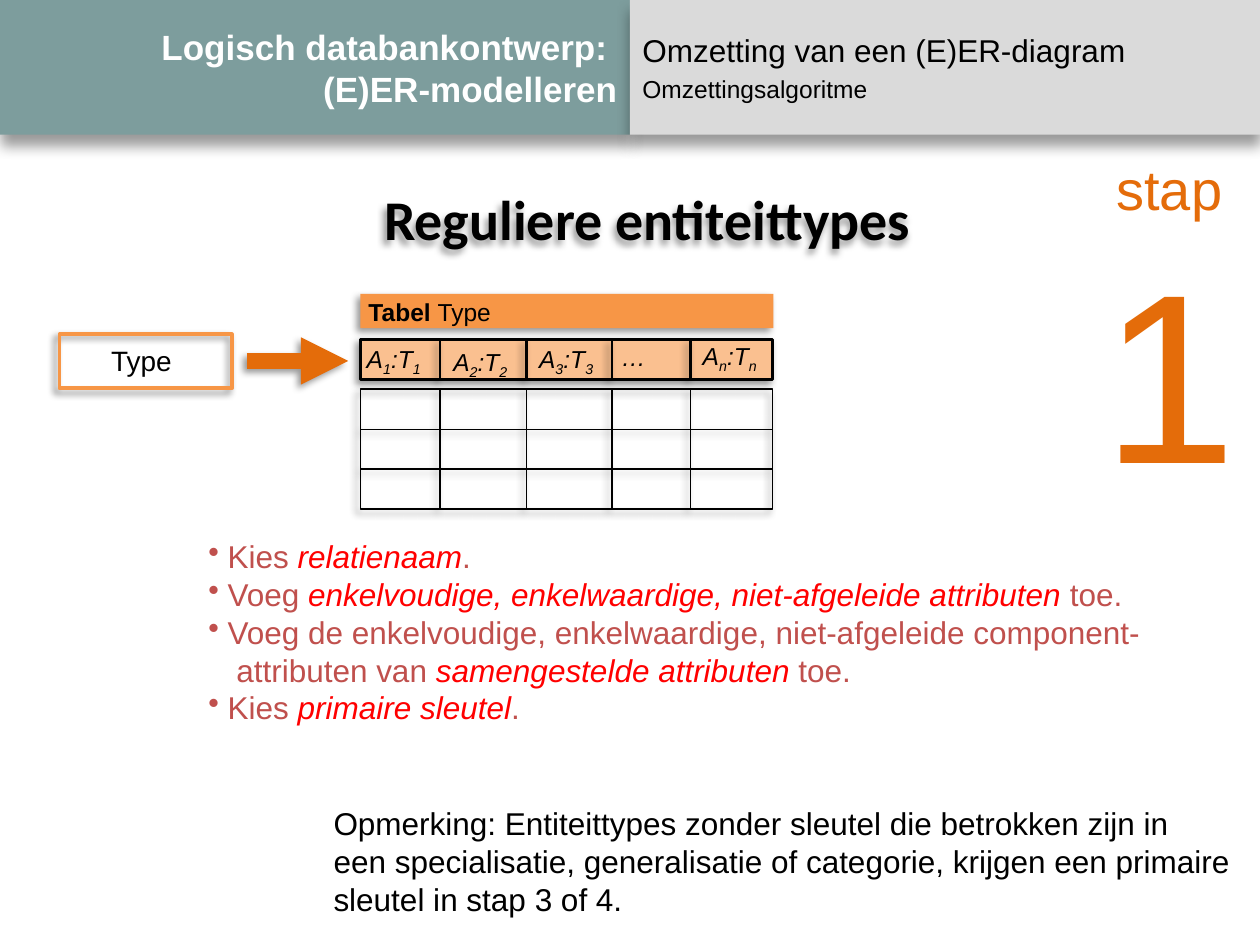
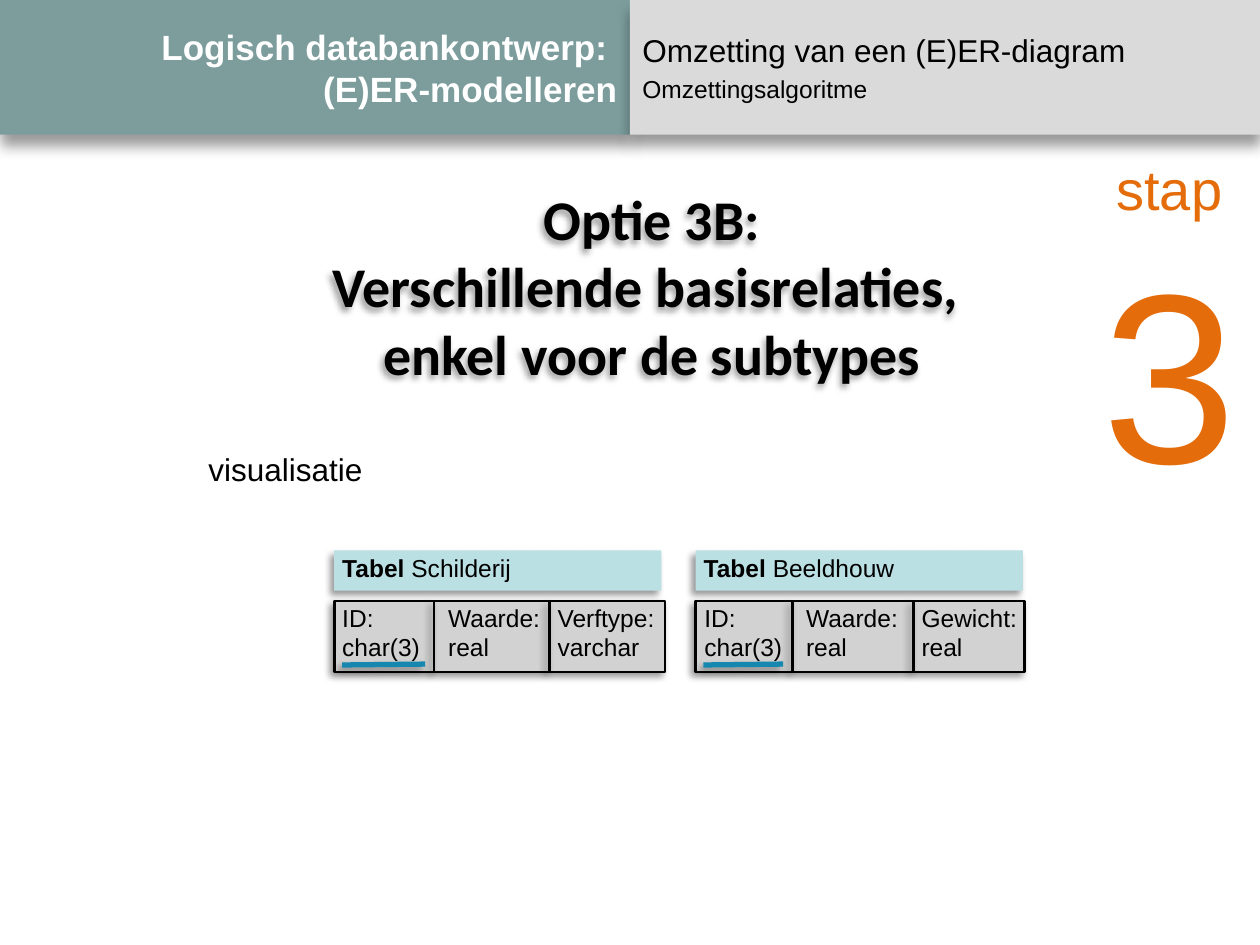
from dataclasses import dataclass
from typing import NamedTuple, Optional, Sequence, Union

import lxml.etree
import pptx
import pptx.dml.color
import pptx.enum.shapes
import pptx.enum.text
import pptx.oxml.ns
import pptx.util

Pt = pptx.util.Pt
RGBColor = pptx.dml.color.RGBColor
Align = pptx.enum.text.PP_ALIGN
AutoSize = pptx.enum.text.MSO_AUTO_SIZE
qn = pptx.oxml.ns.qn

# Colours
BLACK = RGBColor(0x00, 0x00, 0x00)
WHITE = RGBColor(0xFF, 0xFF, 0xFF)
TEAL = RGBColor(0x7D, 0x9D, 0x9D)
LIGHT_GREY = RGBColor(0xDA, 0xDA, 0xDA)
CELL_GREY = RGBColor(0xD2, 0xD2, 0xD2)
DARK_ORANGE = RGBColor(0xE4, 0x6C, 0x0A)
ORANGE = RGBColor(0xF7, 0x96, 0x46)
PALE_ORANGE = RGBColor(0xFA, 0xC0, 0x90)
PALE_BLUE = RGBColor(0xBB, 0xE0, 0xE3)
KEY_BLUE = RGBColor(0x16, 0x87, 0xAF)
BRICK = RGBColor(0xC0, 0x50, 0x4D)
RED = RGBColor(0xFF, 0x00, 0x00)

BAND_WIDTH, BAND_HEIGHT = 360, 77


class Box(NamedTuple):
    left: float
    top: float
    width: float
    height: float


class Span(NamedTuple):
    text: str
    bold: Optional[bool] = None
    italic: Optional[bool] = None
    color: Optional[RGBColor] = None
    subscript: bool = False


Line = Union[str, Sequence[Span]]


@dataclass(frozen=True)
class Style:
    size: float = 14
    color: RGBColor = BLACK
    font: str = "Arial"
    bold: bool = False
    italic: bool = False
    align: Align = Align.LEFT


@dataclass(frozen=True)
class Shadow:
    blur: float = 4
    distance: float = 3
    angle: int = 135


class Column(NamedTuple):
    name: str
    kind: str
    left: float
    width: float


@dataclass(frozen=True)
class EntityTable:
    name: str
    left: float
    width: float
    dividers: Sequence[float]
    columns: Sequence[Column]
    key_width: float


BAND_SHADOW = Shadow(8, 6, 90)
PART_SHADOW = Shadow()
HEADING = Style(32, font="Calibri", bold=True, align=Align.CENTER)


# Drawing helpers
def add_shadow(shape, shadow: Shadow) -> None:
    properties = shape._element.spPr
    for old in properties.findall(qn("a:effectLst")):
        properties.remove(old)
    effects = lxml.etree.SubElement(properties, qn("a:effectLst"))
    outer = lxml.etree.SubElement(
        effects, qn("a:outerShdw"), blurRad=str(Pt(shadow.blur)),
        dist=str(Pt(shadow.distance)), dir=str(shadow.angle * 60000),
        algn="ctr", rotWithShape="0")
    color = lxml.etree.SubElement(outer, qn("a:srgbClr"), val="000000")
    lxml.etree.SubElement(color, qn("a:alpha"), val="40000")


def style_paragraph(para, style: Style) -> None:
    para.alignment = style.align
    para.font.name = style.font
    para.font.size = Pt(style.size)
    para.font.bold = style.bold
    para.font.italic = style.italic
    para.font.color.rgb = style.color


def add_span(para, part: Span) -> None:
    span = para.add_run()
    span.text = part.text
    if part.bold is not None:
        span.font.bold = part.bold
    if part.italic is not None:
        span.font.italic = part.italic
    if part.color is not None:
        span.font.color.rgb = part.color
    if part.subscript:
        span._r.get_or_add_rPr().set("baseline", "-25000")


def write_line(para, line: Line) -> None:
    if isinstance(line, str):
        para.text = line
        return
    for part in line:
        for index, piece in enumerate(part.text.split("\v")):
            if index:
                para.add_line_break()
            add_span(para, part._replace(text=piece))


def add_text(page, box: Box, lines: Sequence[Line], style: Style = Style(),
             wrap: bool = False, bullet_indent: float = 0):
    shape = page.shapes.add_textbox(*map(Pt, box))
    frame = shape.text_frame
    frame.word_wrap = wrap
    frame.auto_size = AutoSize.SHAPE_TO_FIT_TEXT
    for index, line in enumerate(lines):
        para = frame.add_paragraph() if index else frame.paragraphs[0]
        if bullet_indent:
            properties = para._p.get_or_add_pPr()
            properties.set("marL", str(Pt(bullet_indent)))
            properties.set("indent", str(-Pt(bullet_indent)))
            lxml.etree.SubElement(properties, qn("a:buChar"), char="•")
        write_line(para, line)
        style_paragraph(para, style)
    return shape


def add_box(page, box: Box, fill: Optional[RGBColor] = None,
            line: Optional[RGBColor] = None, weight: float = 1,
            shadow: Shadow = PART_SHADOW):
    shape = page.shapes.add_shape(
        pptx.enum.shapes.MSO_SHAPE.RECTANGLE, *map(Pt, box))
    if fill is None:
        shape.fill.background()
    else:
        shape.fill.solid()
        shape.fill.fore_color.rgb = fill
    if line is None:
        shape.line.fill.background()
    else:
        shape.line.color.rgb = line
        shape.line.width = Pt(weight)
    shape.shadow.inherit = False
    add_shadow(shape, shadow)
    return shape


def add_line(page, x1: float, y1: float, x2: float, y2: float,
             color: RGBColor = BLACK, weight: float = 0.75,
             arrow: bool = False) -> None:
    line = page.shapes.add_connector(
        pptx.enum.shapes.MSO_CONNECTOR.STRAIGHT, *map(Pt, (x1, y1, x2, y2)))
    line.line.color.rgb = color
    line.line.width = Pt(weight)
    if arrow:
        lxml.etree.SubElement(line._element.spPr.find(qn("a:ln")),
                              qn("a:tailEnd"), type="triangle")
    add_shadow(line, PART_SHADOW)


# Shared header and step number
def add_page(deck, step: str):
    page = deck.slides.add_slide(deck.slide_layouts[5])
    title = page.shapes.title
    title.left, title.top = Pt(0), Pt(0)
    title.width, title.height = Pt(BAND_WIDTH), Pt(BAND_HEIGHT)
    title.fill.solid()
    title.fill.fore_color.rgb = TEAL
    add_shadow(title, BAND_SHADOW)
    frame = title.text_frame
    frame.auto_size = AutoSize.NONE
    frame.vertical_anchor = pptx.enum.text.MSO_ANCHOR.MIDDLE
    frame.paragraphs[0].text = "Logisch databankontwerp: \v(E)ER-modelleren"
    style_paragraph(frame.paragraphs[0],
                    Style(20, WHITE, bold=True, align=Align.RIGHT))

    band = add_box(page, Box(BAND_WIDTH, 0, BAND_WIDTH, BAND_HEIGHT),
                   LIGHT_GREY, shadow=BAND_SHADOW)
    frame = band.text_frame
    frame.word_wrap = True
    frame.vertical_anchor = pptx.enum.text.MSO_ANCHOR.MIDDLE
    frame.text = "Omzetting van een (E)ER-diagram\nOmzettingsalgoritme"
    for para, size in zip(frame.paragraphs, (18, 14)):
        style_paragraph(para, Style(size))
    frame.paragraphs[1].space_before = Pt(3)

    number = add_text(page, Box(621.5, 85, 93.5, 213), ["stap", step],
                      Style(32, DARK_ORANGE, align=Align.CENTER))
    number.text_frame.paragraphs[1].font.size = Pt(138)
    return page


def add_heading(page, box: Box, text: str) -> None:
    add_shadow(add_text(page, box, [text], HEADING), PART_SHADOW)


def add_table_name(page, bar: Box, name: str, color: RGBColor) -> None:
    add_box(page, bar, color)
    add_text(page, Box(bar.left - 2.5, bar.top - 2, 127, 24),
             [[Span("Tabel ", bold=True), Span(name)]], wrap=True)


# Slide 1: regular entity types
def add_regular_types(deck) -> None:
    page = add_page(deck, "1")
    add_heading(page, Box(210, 102, 320, 46), "Reguliere entiteittypes")
    add_box(page, Box(34, 191, 98.5, 31), line=ORANGE, weight=2.25)
    add_text(page, Box(56.5, 193, 52, 26.5), ["Type"], Style(16))
    add_line(page, 141, 206.3, 199, 206.3, DARK_ORANGE, 9, arrow=True)

    # Attribute row and empty rows
    left, right = 206, 441.5
    head_top, head_bottom = 194, 217
    grid_top, row_height, rows = 222.5, 22.8, 3
    grid_bottom = grid_top + rows * row_height
    add_table_name(page, Box(left, 168, 236, 19.5), "Type", ORANGE)
    add_box(page, Box(left, head_top, right - left, head_bottom - head_top),
            PALE_ORANGE, BLACK, 1.5)
    add_box(page, Box(left, grid_top, right - left, grid_bottom - grid_top),
            line=BLACK)
    for row in range(1, rows):
        y = grid_top + row * row_height
        add_line(page, left, y, right, y)
    for x in (251.5, 301, 349.7, 394.5):
        add_line(page, x, head_top, x, head_bottom, weight=1.5)
        add_line(page, x, grid_top, x, grid_bottom)
    italic = Style(italic=True)
    for index, x, y in (("1", 202.5, 193), ("2", 252, 194.5),
                        ("3", 301, 193), ("n", 394.5, 191.5)):
        parts = [Span("A"), Span(index, subscript=True),
                 Span(":T"), Span(index, subscript=True)]
        add_text(page, Box(x, y, 47, 24.5), [parts], italic)
    add_text(page, Box(348, 192, 28.5, 24.5), ["…"], italic)

    # Steps and remark
    def key(text: str) -> Span:
        return Span(text, italic=True, color=RED)

    steps = [
        [Span("Kies "), key("relatienaam"), Span(".")],
        [Span("Voeg "),
         key("enkelvoudige, enkelwaardige, niet-afgeleide attributen"),
         Span(" toe.")],
        [Span("Voeg de enkelvoudige, enkelwaardige, niet-afgeleide "
              "component-\v attributen van "),
         key("samengestelde attributen "), Span("toe.")],
        [Span("Kies "), key("primaire sleutel"), Span(".")],
    ]
    add_text(page, Box(112, 303.5, 560, 117), steps, Style(18, BRICK),
             wrap=True, bullet_indent=11)
    add_text(page, Box(183.5, 456, 536, 73),
             ["Opmerking: Entiteittypes zonder sleutel die betrokken zijn in\v"
              "een specialisatie, generalisatie of categorie, krijgen een "
              "primaire\vsleutel in stap 3 of 4."], Style(18), wrap=True)


# Slide 2: relations for the subtypes only
SUBTYPES = (
    EntityTable("Schilderij", 191, 189, (248, 314),
                (Column("ID", "char(3)", 188.5, 64),
                 Column("Waarde", "real", 249, 70),
                 Column("Verftype", "varchar", 311.5, 74)), 47.5),
    EntityTable("Beeldhouw", 397.5, 188, (453, 522),
                (Column("ID", "char(3)", 395.5, 64),
                 Column("Waarde", "real", 453.5, 70),
                 Column("Gewicht", "real", 519.5, 73)), 45.5),
)


def add_entity_table(page, table: EntityTable) -> None:
    top, height = 343.5, 40.5
    add_table_name(page, Box(table.left, 314.5, 187, 23), table.name,
                   PALE_BLUE)
    add_box(page, Box(table.left, top, table.width, height),
            CELL_GREY, BLACK, 1.5)
    for x in table.dividers:
        add_line(page, x, top, x, top + height, weight=1.5)
    key_left = table.left + 4.5
    add_line(page, key_left, 380, key_left + table.key_width, 379.5,
             KEY_BLUE, 3)
    for column in table.columns:
        add_text(page, Box(column.left, 341, column.width, 41),
                 [f"{column.name}:", column.kind], wrap=True)


def add_subtype_option(deck) -> None:
    page = add_page(deck, "3")
    add_heading(page, Box(181, 102, 383, 124),
                "Optie 3B:\vVerschillende basisrelaties, "
                "\venkel voor de subtypes")
    add_text(page, Box(112, 253.5, 110, 29), ["visualisatie"], Style(18),
             wrap=True)
    for table in SUBTYPES:
        add_entity_table(page, table)


def main() -> None:
    deck = pptx.Presentation()
    deck.slide_width, deck.slide_height = Pt(720), Pt(540)
    add_regular_types(deck)
    add_subtype_option(deck)
    deck.save("out.pptx")


if __name__ == "__main__":
    main()
